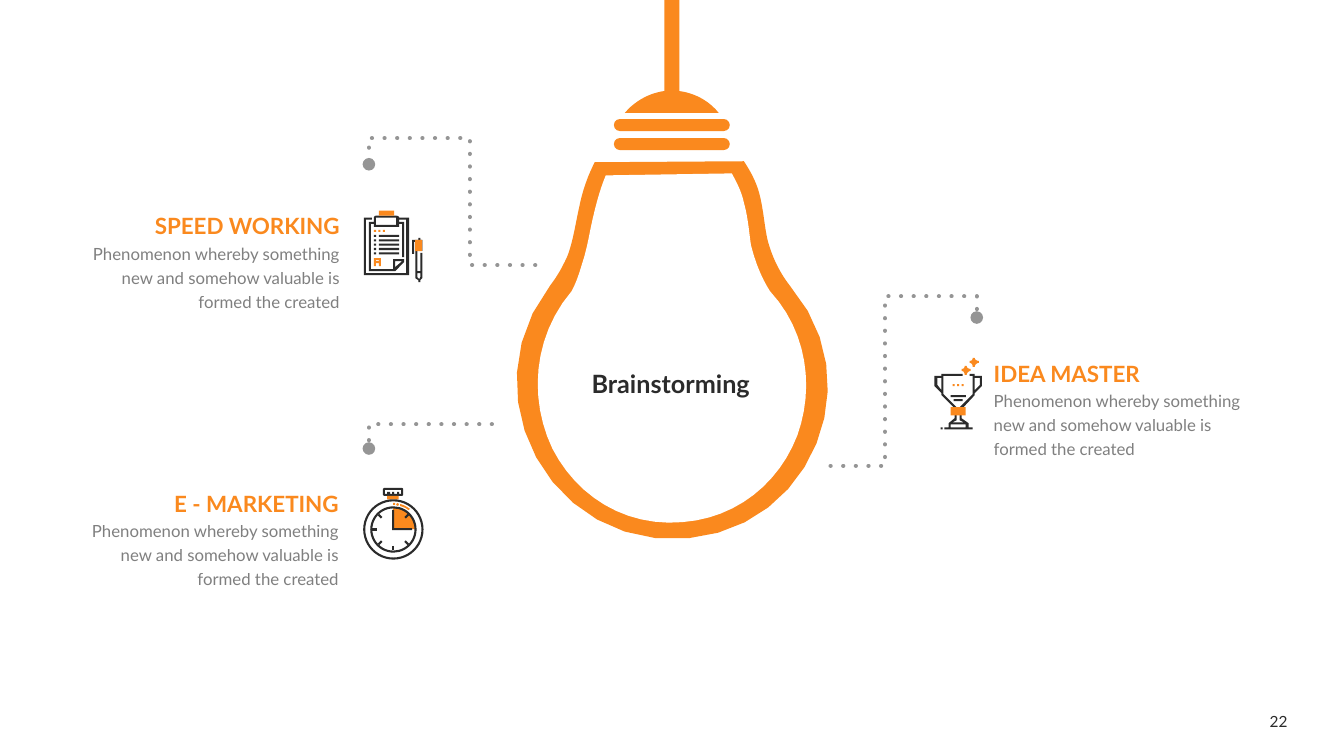
import math
from dataclasses import dataclass
from typing import NamedTuple

import pptx
import pptx.dml.color
import pptx.enum.shapes
import pptx.enum.text
import pptx.oxml
import pptx.oxml.ns
import pptx.util
from pptx.util import Pt

ORANGE, DARK, GRAY, WHITE = "FA891E", "2B2B2B", "959595", "FFFFFF"
FONT = "Lato"
GRID = 0.72  # points per unit of the outlines below
CURVE_STEPS = 12
STROKE = 1.5
ALIGN = pptx.enum.text.PP_ALIGN
SHAPE = pptx.enum.shapes.MSO_SHAPE
AUTO_SIZE = pptx.enum.text.MSO_AUTO_SIZE
DESCRIPTION = "Phenomenon whereby something new and somehow valuable is formed the created"
HEADING_WIDTH, DESCRIPTION_WIDTH = 239, 196.6


class Outline(NamedTuple):
    """M starts a contour, C a run of curves, L a run of lines."""
    path_text: str
    color: str = DARK


class Bar(NamedTuple):
    left: float
    top: float
    width: float = STROKE
    height: float = STROKE
    color: str = DARK
    kind: int = SHAPE.RECTANGLE


@dataclass
class Callout:
    heading: str
    left: float
    top: float
    align: int
    leader: str


CALLOUTS = [
    Callout("SPEED WORKING", 10.8, 150.5, ALIGN.RIGHT, "M 531 263 466 263 466 137 366 137 366 163"),
    Callout("IDEA MASTER", 702.7, 255.6, ALIGN.LEFT, "M 824 462 878 462 878 294 969 294 969 315"),
    Callout("E - MARKETING", 10.1, 348.5, ALIGN.RIGHT, "M 488 421 366 421 366 445"),
]

BULB = [
    Outline("M 590 161 738 160 C 744 169 750 180 753 191 757 205 758 221 761 236 765 253 773 270 784 284 "
            "865 378 806 523 683 534 547 547 462 391 546 283 553 274 558 265 563 254 569 238 571 221 575 204 "
            "578 189 583 175 590 161", ORANGE),
    Outline("M 601 174 726 172 C 731 181 736 191 738 201 742 215 743 229 745 243 749 259 755 275 764 289 "
            "801 329 808 385 791 432 773 479 731 514 677 518 620 523 572 492 548 445 525 397 528 335 567 289 "
            "572 280 575 270 578 260 583 245 585 229 589 213 592 200 596 186 601 174", WHITE),
    Outline("M 713 112 C 701 97 682 89 663 90 647 91 631 99 620 112", ORANGE),
]
BULB_BARS = [Bar(438.5, top, 82.8, 8.6, ORANGE, SHAPE.ROUNDED_RECTANGLE) for top in (85, 98.6)]
BULB_BARS.append(Bar(474.5, 0, 10.8, 70.6, ORANGE))

CLIPBOARD = [
    Outline("M 371 256 371 264 373 264 373 261 376 261 376 264 378 264 378 256 "
            "M 373 259 373 258 376 258 376 259", ORANGE),
    Outline("M 396 216 C 396 215 395 214 393 214 L 373 214 C 372 214 371 215 371 216 L 371 220 366 220 366 269 "
            "392 269 401 260 401 257 390 257 390 267 368 267 368 222 371 222 371 225 396 225 396 222 399 222 "
            "399 255 401 255 401 220 396 220 396 218 403 218 403 271 363 271 363 218 369 218 369 216 361 216 "
            "361 273 406 273 406 216 M 392 259 399 259 392 265 M 393 223 373 223 373 216 393 216"),
    Outline("M 414 249 419 249 419 238 417 238 417 236 415 236 415 238 409 238 409 252 411 252 411 240 412 240 "
            "412 276 415 278 415 280 417 280 417 278 419 276 419 251 417 251 417 269 414 269 "
            "M 417 240 417 247 414 247 414 240 M 417 271 417 275 416 277 414 275 414 271"),
]
CLIPBOARD_BARS = [Bar(270.7, 150.5, 10.8, 3.6, ORANGE), Bar(296.6, 171.4, 5, 7.9, ORANGE)]
CLIPBOARD_BARS += [Bar(267.1 + 3.2 * i, 164.2, color=ORANGE) for i in range(3)]
CLIPBOARD_BARS += [Bar(left, 167.8 + 3.1 * row, width)
                   for row in range(5) for left, width in ((267.1, STROKE), (270.7, 14.4))]

STOPWATCH = [
    Outline("M 390 503 C 402 503 412 513 412 525 L 390 525", ORANGE),
    Outline("M 405 506 C 403 504 400 503 397 502 L 397 500 C 401 501 404 503 407 505 "
            "M 395 502 393 501 394 499 396 500 M 392 501 390 501 390 499 392 499", ORANGE),
    Outline("M 399 484 381 484 380 485 380 491 381 492 399 492 400 491 400 485 M 398 490 396 490 396 488 394 488 "
            "394 490 391 490 391 488 389 488 389 490 387 490 387 488 384 488 384 490 382 490 382 486 398 486"),
    Outline("M 409 524 391 524 391 506 389 506 389 526 409 526"),
]
STOPWATCH_BARS = [Bar(276.5, 354.2, 8.3, 2.5, ORANGE)]
DIAL_X, DIAL_Y = 281, 378.2
RING_RADII = (20.8, 15.8)
TICK_INNER, TICK_OUTER = 11.8, 15
TICK_ANGLES = (45, 135, 180, 225, 270, 315)  # clockwise from twelve; the hands fill 0 and 90

TROPHY = [
    Outline("M 961 424 961 420 954 415 954 410 952 410 952 417 956 419 945 419 949 417 949 410 947 410 947 415 "
            "941 420 941 424 937 424 937 426 965 426 965 424 M 943 421 958 421 958 424 943 424"),
    Outline("M 936 373 955 373 955 371 934 371 934 373 927 373 927 383 934 390 934 392 948 406 949 404 936 391 "
            "M 930 382 930 375 934 375 934 387"),
    Outline("M 974 373 967 373 967 371 962 371 962 373 965 373 965 391 952 404 954 406 967 392 967 390 974 383 "
            "M 972 382 967 387 967 375 972 375"),
]
for x, y in ((954, 363), (962, 355)):
    TROPHY.append(Outline(
        f"M {x + 5} {y} {x + 3} {y} C {x + 3} {y + 2} {x + 2} {y + 3} {x} {y + 3} L {x} {y + 5} "
        f"C {x + 2} {y + 5} {x + 3} {y + 7} {x + 3} {y + 9} L {x + 5} {y + 9} "
        f"C {x + 5} {y + 7} {x + 7} {y + 5} {x + 9} {y + 5} L {x + 9} {y + 3} "
        f"C {x + 7} {y + 3} {x + 5} {y + 2} {x + 5} {y}", ORANGE))
TROPHY_BARS = [Bar(680.4 + 3.2 * i, 274.3, color=ORANGE) for i in range(3)]
TROPHY_BARS += [Bar(679, 282.2, 11), Bar(681.1, 285.1, 6.5), Bar(679, 290.9, 10.8, 5.8, ORANGE), Bar(671.8, 305.3)]


def paint(color_holder, color: str) -> None:
    """Colour a fill or a font from a hex string."""
    if hasattr(color_holder, "solid"):
        color_holder.solid()
        color_holder = color_holder.fore_color
    else:
        color_holder = color_holder.color
    color_holder.rgb = pptx.dml.color.RGBColor.from_string(color)


def trace(path_text: str) -> list:
    """Turn an outline into contours of points, curves sampled evenly."""
    contours = []
    for contour in path_text.split("M")[1:]:
        points, pending, mode = [], [], "L"
        for token in contour.split():
            if token in ("L", "C"):
                mode = token
                continue
            pending.append(float(token) * GRID)
            if mode == "L" and len(pending) == 2:
                points.append(tuple(pending))
                pending = []
            elif len(pending) == 6:
                controls = [points[-1], *zip(pending[::2], pending[1::2])]
                for step in range(1, CURVE_STEPS + 1):
                    t = step / CURVE_STEPS
                    weights = ((1 - t) ** 3, 3 * t * (1 - t) ** 2, 3 * t * t * (1 - t), t ** 3)
                    points.append(tuple(sum(w * p[axis] for w, p in zip(weights, controls)) for axis in (0, 1)))
                pending = []
        contours.append([(Pt(px), Pt(py)) for px, py in points])
    return contours


def draw_freeform(slide, path_text: str, close: bool):
    contours = trace(path_text)
    builder = slide.shapes.build_freeform(*contours[0][0], scale=1.0)
    for index, points in enumerate(contours):
        if index:
            builder.move_to(*points[0])
        builder.add_line_segments(points[1:], close=close)
    shape = builder.convert_to_shape()
    shape.shadow.inherit = False
    return shape


def draw_parts(slide, outlines: list, bars: list) -> None:
    for outline in outlines:
        shape = draw_freeform(slide, outline.path_text, True)
        paint(shape.fill, outline.color)
        shape.line.fill.background()
    for bar in bars:
        shape = slide.shapes.add_shape(bar.kind, Pt(bar.left), Pt(bar.top), Pt(bar.width), Pt(bar.height))
        if bar.kind == SHAPE.ROUNDED_RECTANGLE:
            shape.adjustments[0] = 0.5
        shape.shadow.inherit = False
        paint(shape.fill, bar.color)
        shape.line.fill.background()


def draw_dial(slide) -> None:
    for radius in RING_RADII:
        ring = slide.shapes.add_shape(SHAPE.OVAL, Pt(DIAL_X - radius), Pt(DIAL_Y - radius), Pt(2 * radius), Pt(2 * radius))
        ring.shadow.inherit = False
        ring.fill.background()
        paint(ring.line.fill, DARK)
        ring.line.width = Pt(STROKE)
    for angle in map(math.radians, TICK_ANGLES):
        ends = [Pt(v) for r in (TICK_INNER, TICK_OUTER)
                for v in (DIAL_X + r * math.sin(angle), DIAL_Y - r * math.cos(angle))]
        tick = slide.shapes.add_connector(pptx.enum.shapes.MSO_CONNECTOR.STRAIGHT, *ends)
        paint(tick.line.fill, DARK)
        tick.line.width = Pt(STROKE)
        tick.element.spPr.append(pptx.oxml.parse_xml(f"<a:effectLst {pptx.oxml.ns.nsdecls('a')}/>"))


def draw_leader(slide, path_text: str) -> None:
    shape = draw_freeform(slide, path_text, False)
    shape.fill.background()
    paint(shape.line.fill, GRAY)
    shape.line.width = Pt(3)
    line = shape.line._get_or_add_ln()
    line.set("cap", "rnd")
    for markup in ('<a:custDash {}><a:ds d="100000" sp="200000"/></a:custDash>', "<a:round {}/>", '<a:tailEnd {} type="oval"/>'):
        line.append(pptx.oxml.parse_xml(markup.format(pptx.oxml.ns.nsdecls("a"))))


def write(shape, text: str, size: float, color: str, align: int = ALIGN.LEFT, bold: bool = False,
          spacing: float = 1.0, wrap: bool = True):
    frame = shape.text_frame
    frame.text = text
    frame.word_wrap = wrap
    frame.vertical_anchor = pptx.enum.text.MSO_ANCHOR.TOP
    paragraph = frame.paragraphs[0]
    paragraph.alignment, paragraph.line_spacing = align, spacing
    font = paragraph.runs[0].font
    font.name, font.size, font.bold = FONT, Pt(size), bold
    paint(font, color)
    return frame


def add_box(slide, left: float, top: float, width: float, height: float):
    return slide.shapes.add_textbox(Pt(left), Pt(top), Pt(width), Pt(height))


def draw_callout(slide, callout: Callout) -> None:
    draw_leader(slide, callout.leader)
    indent = HEADING_WIDTH - DESCRIPTION_WIDTH if callout.align == ALIGN.RIGHT else 0
    body = add_box(slide, callout.left + indent, callout.top + 17, DESCRIPTION_WIDTH, 59.8)
    frame = write(body, DESCRIPTION, 12, DARK, callout.align, spacing=1.2)
    frame.auto_size = AUTO_SIZE.SHAPE_TO_FIT_TEXT
    for color in body.element.iter(pptx.oxml.ns.qn("a:srgbClr")):
        color.append(pptx.oxml.parse_xml(f'<a:alpha {pptx.oxml.ns.nsdecls("a")} val="60000"/>'))
    heading = add_box(slide, callout.left, callout.top, HEADING_WIDTH, 28.8)
    write(heading, callout.heading, 16, ORANGE, callout.align, True, 0.9)


def main() -> None:
    presentation = pptx.Presentation()
    presentation.slide_width, presentation.slide_height = Pt(960), Pt(540)
    slide = presentation.slides.add_slide(presentation.slide_layouts[5])

    # Callouts, bulb and icons
    for callout in CALLOUTS:
        draw_callout(slide, callout)
    for outlines, bars in ((BULB, BULB_BARS), (CLIPBOARD, CLIPBOARD_BARS),
                           (STOPWATCH, STOPWATCH_BARS), (TROPHY, TROPHY_BARS)):
        draw_parts(slide, outlines, bars)
    draw_dial(slide)

    # Title in front of the bulb
    title = slide.shapes.title
    title.left, title.top, title.width, title.height = Pt(415.4), Pt(259.2), Pt(129.6), Pt(28.8)
    frame = write(title, "Brainstorming", 18, DARK, bold=True, wrap=False)
    frame.auto_size = AUTO_SIZE.SHAPE_TO_FIT_TEXT
    title.element.getparent().append(title.element)

    # Page number
    frame = write(add_box(slide, 896.4, 507.6, 33.8, 15.1), "22", 11, DARK, ALIGN.CENTER)
    frame.vertical_anchor = pptx.enum.text.MSO_ANCHOR.MIDDLE
    presentation.save("out.pptx")


if __name__ == "__main__":
    main()
